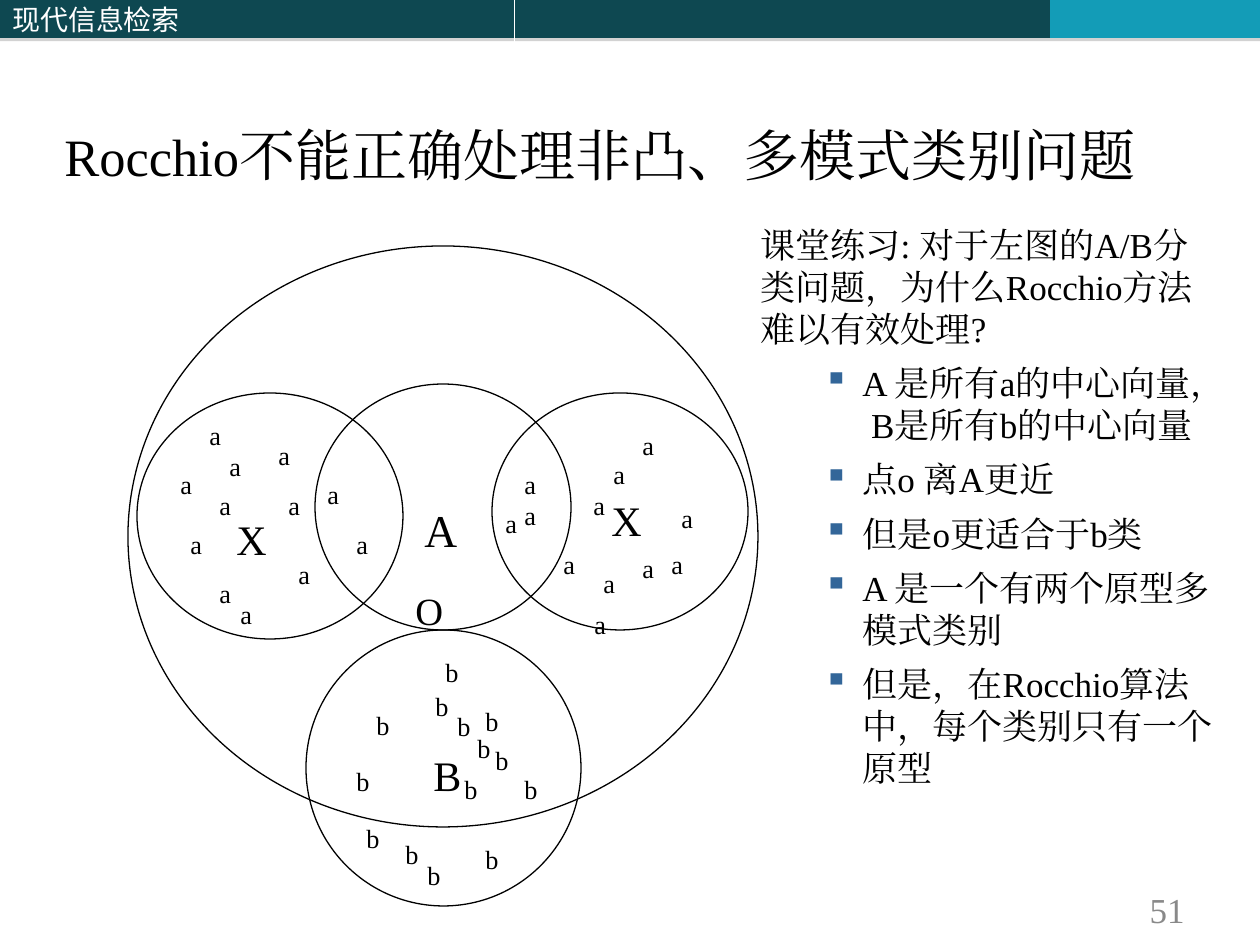
from dataclasses import dataclass

from lxml.etree import SubElement
from pptx import Presentation
from pptx.dml.color import RGBColor
from pptx.enum.shapes import MSO_SHAPE as Preset
from pptx.enum.text import MSO_ANCHOR as Anchor, PP_ALIGN as Align
from pptx.oxml import parse_xml
from pptx.oxml.ns import nsdecls, qn
from pptx.util import Pt

EMU_PER_PX = 914400 / 126


@dataclass(frozen=True)
class Theme:
    dark: str = "0E4851"
    accent: str = "139CB7"
    white: str = "FFFFFF"
    ink: str = "000000"
    grey: str = "898989"
    bullet: str = "336699"
    serif: str = "Times New Roman"
    sans: str = "Noto Sans CJK SC"
    header: int = 16
    title: int = 30
    title_chinese: int = 32
    body: int = 20
    point: int = 15
    origin: int = 22
    centre: int = 24
    centre_a: int = 26


theme = Theme()


def px(*values):
    return [round(value * EMU_PER_PX) for value in values]


def write(paragraph, text, size=theme.point, color=theme.ink, font=theme.serif,
          align=Align.LEFT):
    """Append a formatted run to a paragraph."""
    paragraph.alignment = align
    run = paragraph.add_run()
    run.text = text
    run.font.size = Pt(size)
    run.font.name = font
    run.font.color.rgb = RGBColor.from_string(color)
    SubElement(run._r.get_or_add_rPr(), qn("a:ea")).set("typeface", font)


presentation = Presentation()
presentation.slide_width, presentation.slide_height = px(1260, 945)
slide = presentation.slides.add_slide(presentation.slide_layouts[6])
shapes = slide.shapes

# Header bar
SHADOW = (f'<a:effectLst {nsdecls("a")}><a:outerShdw dist="22860" dir="5400000" '
          'rotWithShape="0"><a:srgbClr val="808080"><a:alpha val="35000"/>'
          '</a:srgbClr></a:outerShdw></a:effectLst>')
bars = [(0, 514, theme.dark, "现代信息检索"), (515, 535, theme.dark, ""),
        (1050, 210, theme.accent, "")]
for left, width, color, text in bars:
    bar = shapes.add_shape(Preset.RECTANGLE, *px(left, 0, width, 38))
    bar.fill.solid()
    bar.fill.fore_color.rgb = RGBColor.from_string(color)
    bar.line.fill.background()
    bar._element.spPr.append(parse_xml(SHADOW))
    if text:
        bar.text_frame.vertical_anchor = Anchor.MIDDLE
        write(bar.text_frame.paragraphs[0], text, size=theme.header,
              color=theme.white, font=theme.sans)

# Page number
number = shapes.add_textbox(*px(903, 892, 294, 34)).text_frame
number.vertical_anchor = Anchor.MIDDLE
number.word_wrap = True
write(number.paragraphs[0], "51", size=theme.body, color=theme.grey, align=Align.RIGHT)

# Title
title = shapes.add_textbox(*px(52, 1, 1208, 193)).text_frame
title.vertical_anchor = Anchor.BOTTOM
title.word_wrap = True
write(title.paragraphs[0], "Rocchio", size=theme.title)
write(title.paragraphs[0], "不能正确处理非凸、多模式类别问题", size=theme.title_chinese)

# Exercise question and its points
body = shapes.add_textbox(*px(748, 217, 483, 659)).text_frame
body.word_wrap = True
question = body.paragraphs[0]
question.line_spacing = Pt(24)
write(question, "课堂练习: 对于左图的A/B分类问题，为什么Rocchio方法难以有效处理?",
      size=theme.body)
points = ["A 是所有a的中心向量， B是所有b的中心向量", "点o 离A更近",
          "但是o更适合于b类", "A 是一个有两个原型多模式类别",
          "但是，在Rocchio算法中，每个类别只有一个原型"]
left_margin, hanging = px(102, -39)
for text in points:
    paragraph = body.add_paragraph()
    paragraph.level = 1
    paragraph.line_spacing = Pt(24)
    paragraph.space_before = Pt(7)
    write(paragraph, text, size=theme.body)
    properties = paragraph._p.get_or_add_pPr()
    properties.set("marL", str(left_margin))
    properties.set("indent", str(hanging))
    bullet_color = SubElement(properties, qn("a:buClr"))
    SubElement(bullet_color, qn("a:srgbClr")).set("val", theme.bullet)
    SubElement(properties, qn("a:buChar")).set("char", "▪")

# Class regions
regions = [(137, 393, 266, 246), (306, 630, 275, 276), (315, 384, 256, 246),
           (492, 393, 256, 237), (128, 246, 630, 581)]
for region in regions:
    circle = shapes.add_shape(Preset.OVAL, *px(*region))
    circle.shadow.inherit = False
    circle.fill.background()
    circle.line.color.rgb = RGBColor.from_string(theme.ink)
    circle.line.width = Pt(0.75)

# Sample points and centres: letter, size, positions
letters = [
    ("a", theme.point, [
        (207, 571), (344, 522), (669, 496), (630, 546), (217, 444), (228, 592),
        (197, 413), (493, 501), (168, 462), (512, 462), (178, 522), (286, 552),
        (659, 542), (601, 452), (266, 433), (630, 423), (315, 472), (581, 483),
        (551, 542), (276, 483), (582, 602), (512, 493), (591, 561), (207, 483)]),
    ("b", theme.point, [
        (483, 738), (423, 684), (393, 832), (364, 703), (354, 816), (344, 759),
        (452, 767), (473, 837), (512, 767), (473, 699), (415, 853), (445, 704),
        (465, 726), (433, 650)]),
    ("X", theme.centre, [(599, 488), (224, 507)]),
    ("B", theme.centre, [(421, 743)]),
    ("A", theme.centre_a, [(412, 496)]),
    ("O", theme.origin, [(403, 581)]),
]
for letter, size, positions in letters:
    width, height = (50, 44) if size == theme.point else (72, 63)
    for left, top in positions:
        frame = shapes.add_textbox(*px(left, top, width, height)).text_frame
        frame.word_wrap = True
        write(frame.paragraphs[0], letter, size=size)

presentation.save("out.pptx")
